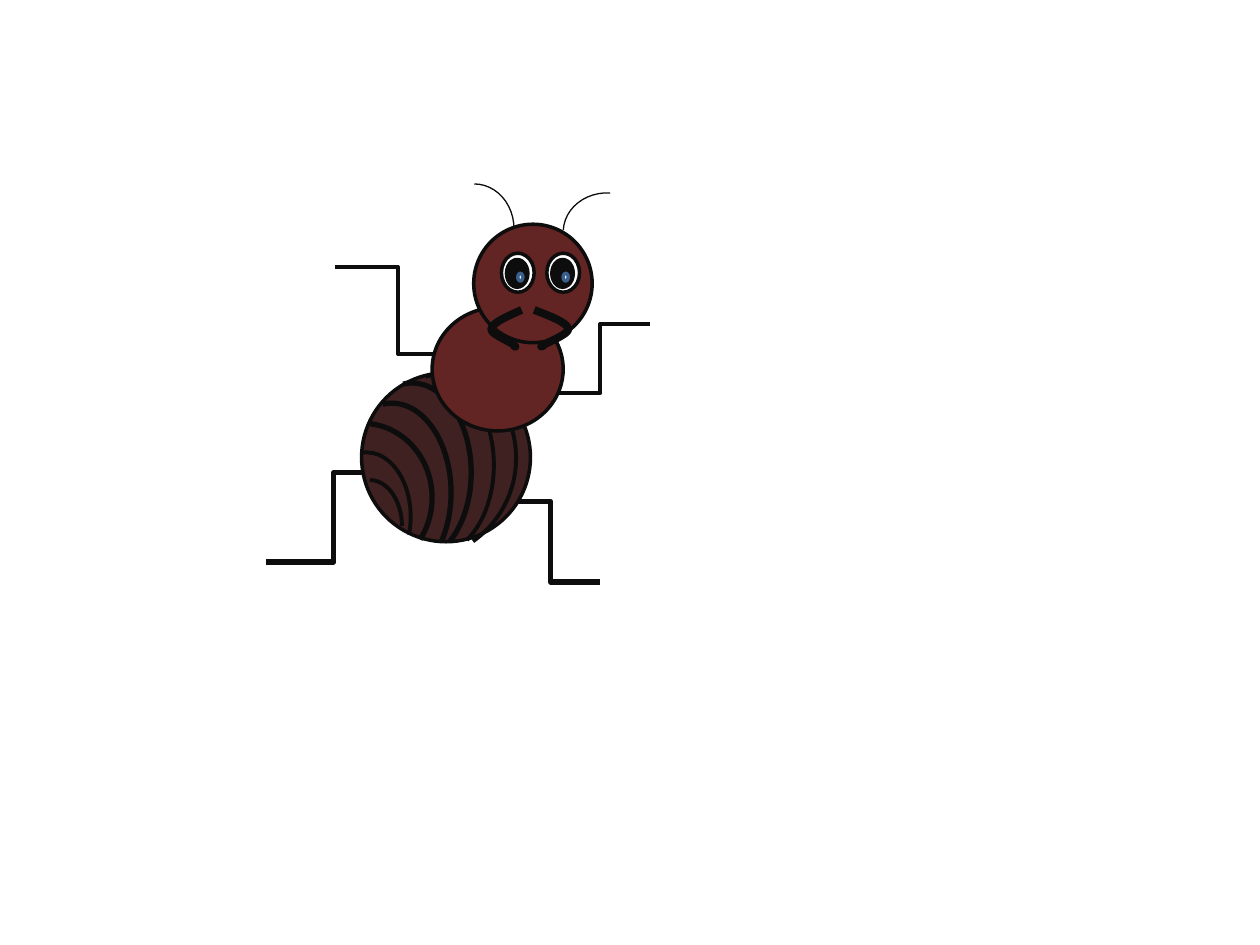
from typing import NamedTuple

from lxml import etree
from pptx import Presentation
from pptx.dml.color import RGBColor
from pptx.enum.shapes import MSO_CONNECTOR, MSO_SHAPE
from pptx.oxml.ns import qn
from pptx.util import Inches, Pt

ELBOW = MSO_CONNECTOR.ELBOW
OVAL = MSO_SHAPE.OVAL
ARC = MSO_SHAPE.ARC

COLORS = {
    "ink": "0D0D0D",
    "belly": "3F2121",
    "body": "632523",
    "white": "FFFFFF",
    "blue": "3A5F8C",
}


class Leg(NamedTuple):
    start: tuple[float, float]
    end: tuple[float, float]
    width: float


class Oval(NamedTuple):
    box: tuple[float, float, float, float]
    fill: str
    line: str = "ink"


class Arc(NamedTuple):
    box: tuple[float, float, float, float]
    width: float
    sweep: tuple[float, float] = (162, 0)
    turn: float = 0


LEGS = [
    Leg((3.19, 3.75), (2.11, 4.46), 3),
    Leg((3.66, 2.81), (2.66, 2.12), 2.25),
    Leg((4.37, 3.12), (5.16, 2.57), 2.25),
    Leg((3.98, 3.98), (4.76, 4.62), 3),
]
BELLY = Oval((2.87, 2.96, 1.34, 1.34), "belly")
STRIPES = [
    Arc((2.64, 3.2, 0.94, 1.42), 3, (158.55, 26.74)),
    Arc((2.8, 3.04, 0.94, 1.42), 3, (158.55, 36.8)),
    Arc((2.98, 2.98, 0.94, 1.42), 2.25, (158.55, 40.09)),
    Arc((2.56, 3.59, 0.7, 1.02), 2.25, (158.88, 13.82)),
    Arc((2.68, 3.81, 0.51, 0.73), 2.25),
    Arc((2.33, 3.36, 1.1, 1.18), 3, (165.52, 21.66)),
    Arc((2.45, 2.81, 1.65, 1.63), 2.25, (163.36, 7.45), 42.1),
]
FEELERS = [
    Arc((3.45, 1.46, 0.63, 0.71), 0.75),
    Arc((4.51, 1.49, 0.63, 0.71), 0.75, turn=273.2),
]
CHEST = Oval((3.43, 2.44, 1.04, 0.98), "body")
HEAD = Oval((3.76, 1.78, 0.94, 0.94), "body")
EYES = [4.34, 3.98]
EYE = [
    Oval((0, 2.01, 0.26, 0.31), "white"),
    Oval((0.04, 2.06, 0.17, 0.22), "ink"),
    Oval((0.13, 2.17, 0.04, 0.06), "white", "blue"),
]
# Each jaw is a start point followed by cubic curves of three points.
JAWS = [
    [(4.24, 2.46), (4.37, 2.51), (4.5, 2.56), (4.51, 2.61), (4.52, 2.65),
     (4.34, 2.72), (4.31, 2.74), (4.28, 2.76), (4.3, 2.75), (4.32, 2.74)],
    [(4.14, 2.46), (4.03, 2.51), (3.91, 2.56), (3.9, 2.61), (3.89, 2.65),
     (4.05, 2.71), (4.08, 2.74), (4.1, 2.76), (4.09, 2.75), (4.07, 2.74)],
]
STEPS = 12


def stroke(shape, color: str, width: float) -> None:
    """Set the line colour and width."""
    shape.line.color.rgb = RGBColor.from_string(COLORS[color])
    shape.line.width = Pt(width)


def draw_leg(shapes, leg: Leg) -> None:
    """Draw a bent leg without a shadow."""
    ends = [Inches(v) for v in leg.start + leg.end]
    line = shapes.add_connector(ELBOW, *ends)
    stroke(line, "ink", leg.width)
    etree.SubElement(line._element.spPr, qn("a:effectLst"))


def draw_oval(shapes, oval: Oval, left: float = 0) -> None:
    """Draw a filled oval, moved right by left."""
    x, y, w, h = oval.box
    shape = shapes.add_shape(
        OVAL, Inches(left + x), Inches(y), Inches(w), Inches(h))
    shape.shadow.inherit = False
    shape.fill.solid()
    shape.fill.fore_color.rgb = RGBColor.from_string(COLORS[oval.fill])
    stroke(shape, oval.line, 2)


def draw_arc(shapes, arc: Arc) -> None:
    """Draw an open arc."""
    shape = shapes.add_shape(ARC, *[Inches(v) for v in arc.box])
    shape.shadow.inherit = False
    shape.fill.background()
    shape.adjustments[0], shape.adjustments[1] = arc.sweep
    shape.rotation = arc.turn
    stroke(shape, "ink", arc.width)


def cubic(a: float, b: float, c: float, d: float, t: float) -> float:
    """Return one coordinate of a cubic curve at t."""
    u = 1 - t
    return u**3 * a + 3 * u * u * t * b + 3 * u * t * t * c + t**3 * d


def draw_jaw(shapes, knots: list[tuple[float, float]]) -> None:
    """Draw a jaw as a smooth open outline."""
    points = []
    for i in range(0, len(knots) - 1, 3):
        xs, ys = zip(*knots[i:i + 4])
        for n in range(1, STEPS + 1):
            t = n / STEPS
            points.append((Inches(cubic(*xs, t)), Inches(cubic(*ys, t))))
    x, y = knots[0]
    pen = shapes.build_freeform(Inches(x), Inches(y))
    pen.add_line_segments(points, close=False)
    shape = pen.convert_to_shape()
    shape.shadow.inherit = False
    shape.fill.background()
    stroke(shape, "ink", 4.5)


def main() -> None:
    """Build the slide with the ant."""
    deck = Presentation()
    deck.slide_width, deck.slide_height = Inches(10), Inches(7.5)
    shapes = deck.slides.add_slide(deck.slide_layouts[6]).shapes
    for leg in LEGS:
        draw_leg(shapes, leg)
    draw_oval(shapes, BELLY)
    for arc in STRIPES + FEELERS:
        draw_arc(shapes, arc)
    for part in (CHEST, HEAD):
        draw_oval(shapes, part)
    for left in EYES:
        for ring in EYE:
            draw_oval(shapes, ring, left)
    for jaw in JAWS:
        draw_jaw(shapes, jaw)
    deck.save("out.pptx")


main()
